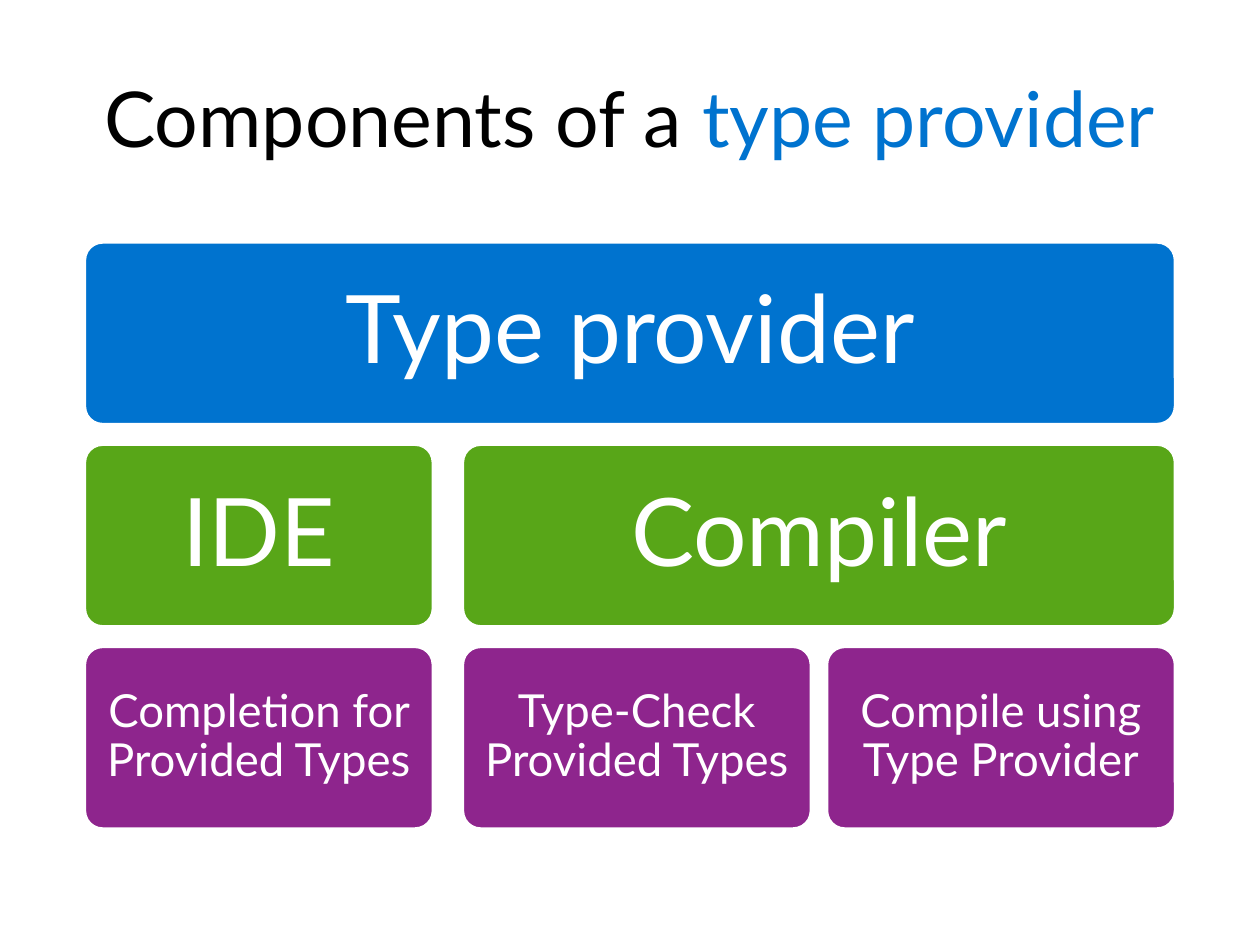
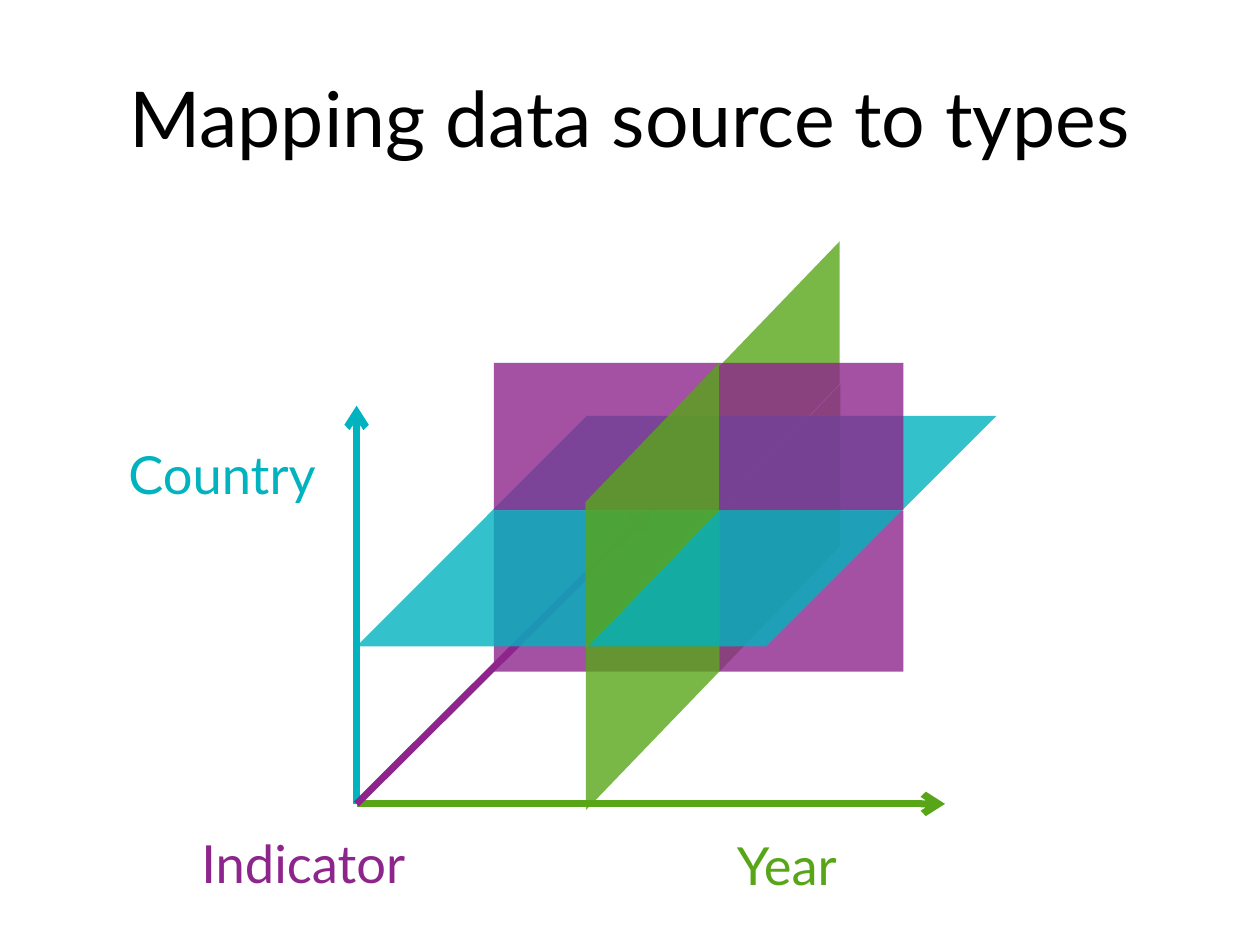
from typing import NamedTuple

from lxml.etree import SubElement
from pptx import Presentation
from pptx.dml.color import RGBColor
from pptx.enum.shapes import MSO_CONNECTOR, MSO_SHAPE
from pptx.enum.text import MSO_ANCHOR, PP_ALIGN
from pptx.oxml.ns import qn
from pptx.util import Inches, Pt

FONT = "Lato"
BLACK = RGBColor(0x00, 0x00, 0x00)
WHITE = RGBColor(0xFF, 0xFF, 0xFF)
BLUE = RGBColor(0x00, 0x73, 0xCF)
GREEN = RGBColor(0x58, 0xA6, 0x18)
PURPLE = RGBColor(0x8E, 0x25, 0x8D)
TEAL = RGBColor(0x00, 0xB3, 0xBE)

CARD_LEFT, CARD_TOP = 0.67, 1.92
CARD_WIDTH, CARD_HEIGHT = 2.77, 1.45
ROW_STEP = 1.605
GROUP_GAP, CARD_GAP = 0.23, 0.12
COMPILER_LEFT = CARD_LEFT + CARD_WIDTH + GROUP_GAP
COMPILE_LEFT = COMPILER_LEFT + CARD_WIDTH + CARD_GAP
RIGHT_EDGE = COMPILE_LEFT + CARD_WIDTH

ORIGIN = (2.83, 6.38)
PLANE_OPACITY = 80
GREEN_SKEW, TEAL_SKEW = 1.039, 0.999


class Span(NamedTuple):
    text: str
    color: RGBColor


class Level(NamedTuple):
    color: RGBColor
    size: int
    inset: float


class Card(NamedTuple):
    text: str
    level: Level
    row: int
    left: float
    right: float


class Plane(NamedTuple):
    color: RGBColor
    left: float
    top: float
    width: float
    height: float
    skew: float = 0
    upright: bool = False


class Axis(NamedTuple):
    color: RGBColor
    end: tuple[float, float]


class AxisLabel(NamedTuple):
    text: str
    color: RGBColor
    left: float
    top: float
    width: float


PROVIDER = Level(BLUE, 54, 0.23)
HOST = Level(GREEN, 54, 0.23)
TASK = Level(PURPLE, 26, 0.11)

CARDS = [
    Card("Type provider", PROVIDER, 0, CARD_LEFT, RIGHT_EDGE),
    Card("IDE", HOST, 1, CARD_LEFT, CARD_LEFT + CARD_WIDTH),
    Card("Completion for Provided Types", TASK, 2, CARD_LEFT, CARD_LEFT + CARD_WIDTH),
    Card("Compiler", HOST, 1, COMPILER_LEFT, RIGHT_EDGE),
    Card("Type-Check Provided Types", TASK, 2, COMPILER_LEFT, COMPILER_LEFT + CARD_WIDTH),
    Card("Compile using Type Provider", TASK, 2, COMPILE_LEFT, RIGHT_EDGE),
]

BACK_PLANES = [
    Plane(GREEN, 5.05, 3.71, 2.28, 0.96, GREEN_SKEW, True),
    Plane(GREEN, 5.12, 2.5, 2.13, 0.96, GREEN_SKEW, True),
    Plane(PURPLE, 3.92, 4.05, 3.25, 1.28),
]
FRONT_PLANES = [
    Plane(GREEN, 3.97, 4.69, 2.42, 1.06, GREEN_SKEW, True),
    Plane(TEAL, 2.83, 3.3, 5.08, 1.83, TEAL_SKEW),
    Plane(PURPLE, 3.92, 2.88, 3.25, 1.17),
    Plane(GREEN, 4.04, 3.49, 2.27, 1.06, GREEN_SKEW, True),
]
AXES = [
    Axis(TEAL, (2.83, 3.22)),
    Axis(GREEN, (7.5, 6.38)),
    Axis(PURPLE, (5.17, 4.05)),
]
AXIS_LABELS = [
    AxisLabel("Country", TEAL, 0.92, 3.46, 2.17),
    AxisLabel("Year", GREEN, 5.75, 6.56, 2),
    AxisLabel("Indicator", PURPLE, 1.5, 6.55, 2),
]


def set_format(target, values: dict) -> None:
    for name, value in values.items():
        setattr(target, name, value)


def write(frame, spans: list[Span], size: int, align=PP_ALIGN.LEFT, line_spacing=None) -> None:
    frame.word_wrap = True
    para = frame.paragraphs[0]
    set_format(para, {"alignment": align, "line_spacing": line_spacing})
    for span in spans:
        run = para.add_run()
        run.text = span.text
        set_format(run.font, {"name": FONT, "size": Pt(size)})
        run.font.color.rgb = span.color


def add_text(page, left: float, top: float, width: float, height: float):
    box = page.shapes.add_textbox(*map(Inches, (left, top, width, height)))
    return box.text_frame


def add_title(page, *spans: Span) -> None:
    frame = add_text(page, 0.5, 0.3, 9, 1.25)
    frame.vertical_anchor = MSO_ANCHOR.MIDDLE
    write(frame, list(spans), 44, PP_ALIGN.CENTER)


def add_filled(page, preset, left: float, top: float, width: float, height: float, color: RGBColor):
    shape = page.shapes.add_shape(preset, *map(Inches, (left, top, width, height)))
    shape.shadow.inherit = False
    shape.fill.solid()
    shape.fill.fore_color.rgb = color
    return shape


def add_card(page, card: Card) -> None:
    level = card.level
    shape = add_filled(page, MSO_SHAPE.ROUNDED_RECTANGLE, card.left,
                       CARD_TOP + card.row * ROW_STEP, card.right - card.left,
                       CARD_HEIGHT, level.color)
    shape.adjustments[0] = 0.1
    shape.line.color.rgb = WHITE
    shape.line.width = Pt(2)
    frame = shape.text_frame
    frame.vertical_anchor = MSO_ANCHOR.MIDDLE
    sides = ("left", "top", "right", "bottom")
    set_format(frame, {f"margin_{side}": Inches(level.inset) for side in sides})
    write(frame, [Span(card.text, WHITE)], level.size, PP_ALIGN.CENTER, 0.9)


def add_plane(page, plane: Plane) -> None:
    """Draw a see-through plane; an upright one is mirrored and turned on its side."""
    preset = MSO_SHAPE.PARALLELOGRAM if plane.skew else MSO_SHAPE.RECTANGLE
    shape = add_filled(page, preset, plane.left, plane.top, plane.width, plane.height, plane.color)
    shape.line.fill.background()
    if plane.skew:
        shape.adjustments[0] = plane.skew
    if plane.upright:
        shape.rotation = 270
        shape.element.find(".//" + qn("a:xfrm")).set("flipH", "1")
    fill_color = shape.element.spPr.find(qn("a:solidFill")).find(qn("a:srgbClr"))
    SubElement(fill_color, qn("a:alpha"), val=str(PLANE_OPACITY * 1000))


def add_axis(page, axis: Axis) -> None:
    connector = page.shapes.add_connector(
        MSO_CONNECTOR.STRAIGHT, *map(Inches, (*ORIGIN, *axis.end)))
    connector.line.color.rgb = axis.color
    connector.line.width = Pt(4)
    properties = connector.element.spPr
    SubElement(properties.find(qn("a:ln")), qn("a:tailEnd"), type="arrow")
    SubElement(properties, qn("a:effectLst"))


def add_axis_label(page, label: AxisLabel) -> None:
    frame = add_text(page, label.left, label.top, label.width, 0.61)
    write(frame, [Span(label.text, label.color)], 30)


def build_components(page) -> None:
    add_title(page, Span("Components of a ", BLACK), Span("type provider", BLUE))
    for card in CARDS:
        add_card(page, card)


def build_mapping(page) -> None:
    for plane in BACK_PLANES:
        add_plane(page, plane)
    add_title(page, Span("Mapping data source to types", BLACK))
    for axis in AXES:
        add_axis(page, axis)
    for label in AXIS_LABELS:
        add_axis_label(page, label)
    for plane in FRONT_PLANES:
        add_plane(page, plane)


def main() -> None:
    deck = Presentation()
    set_format(deck, {"slide_width": Inches(10), "slide_height": Inches(7.5)})
    blank = deck.slide_layouts[6]
    for build in (build_components, build_mapping):
        build(deck.slides.add_slide(blank))
    deck.save("out.pptx")


if __name__ == "__main__":
    main()
